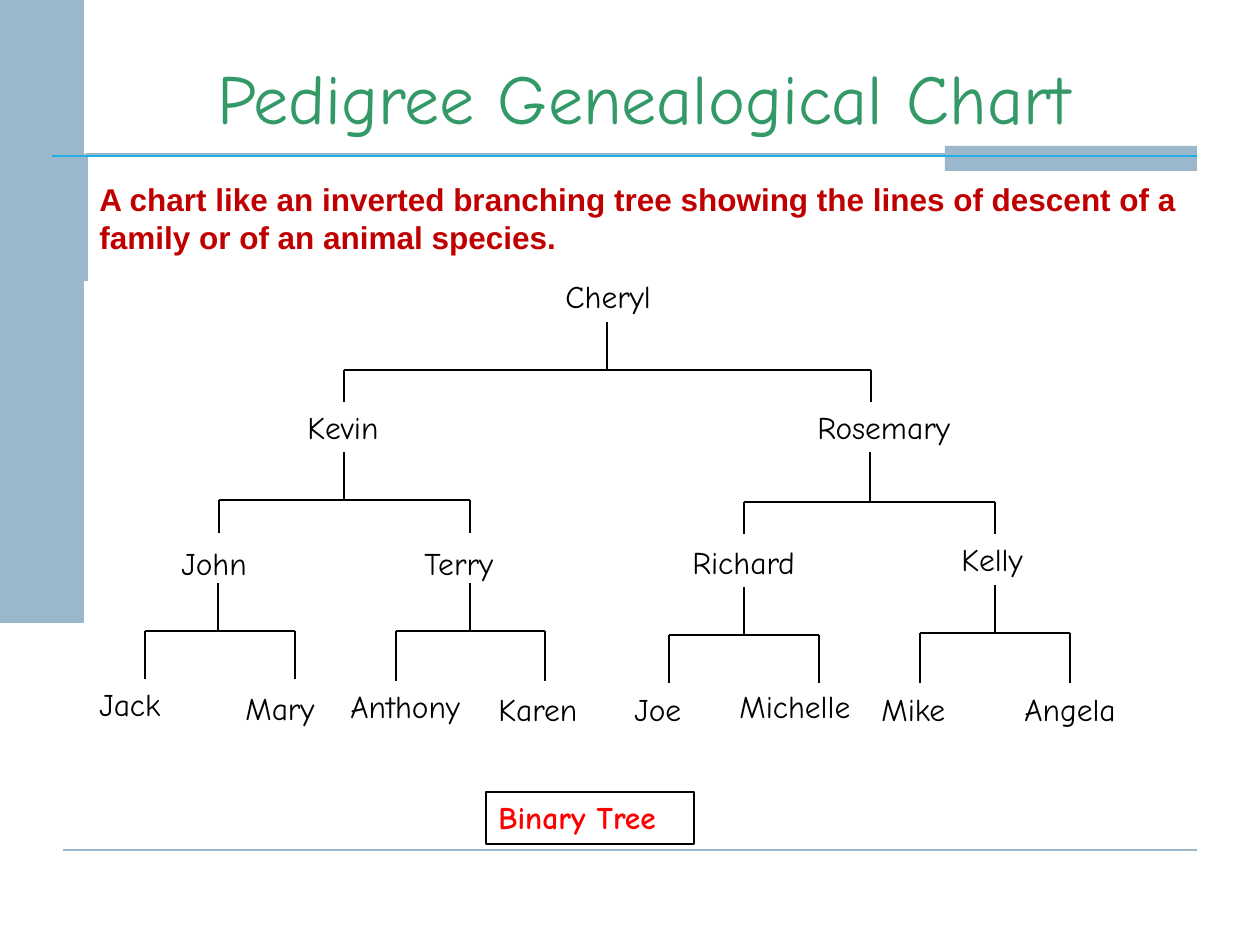
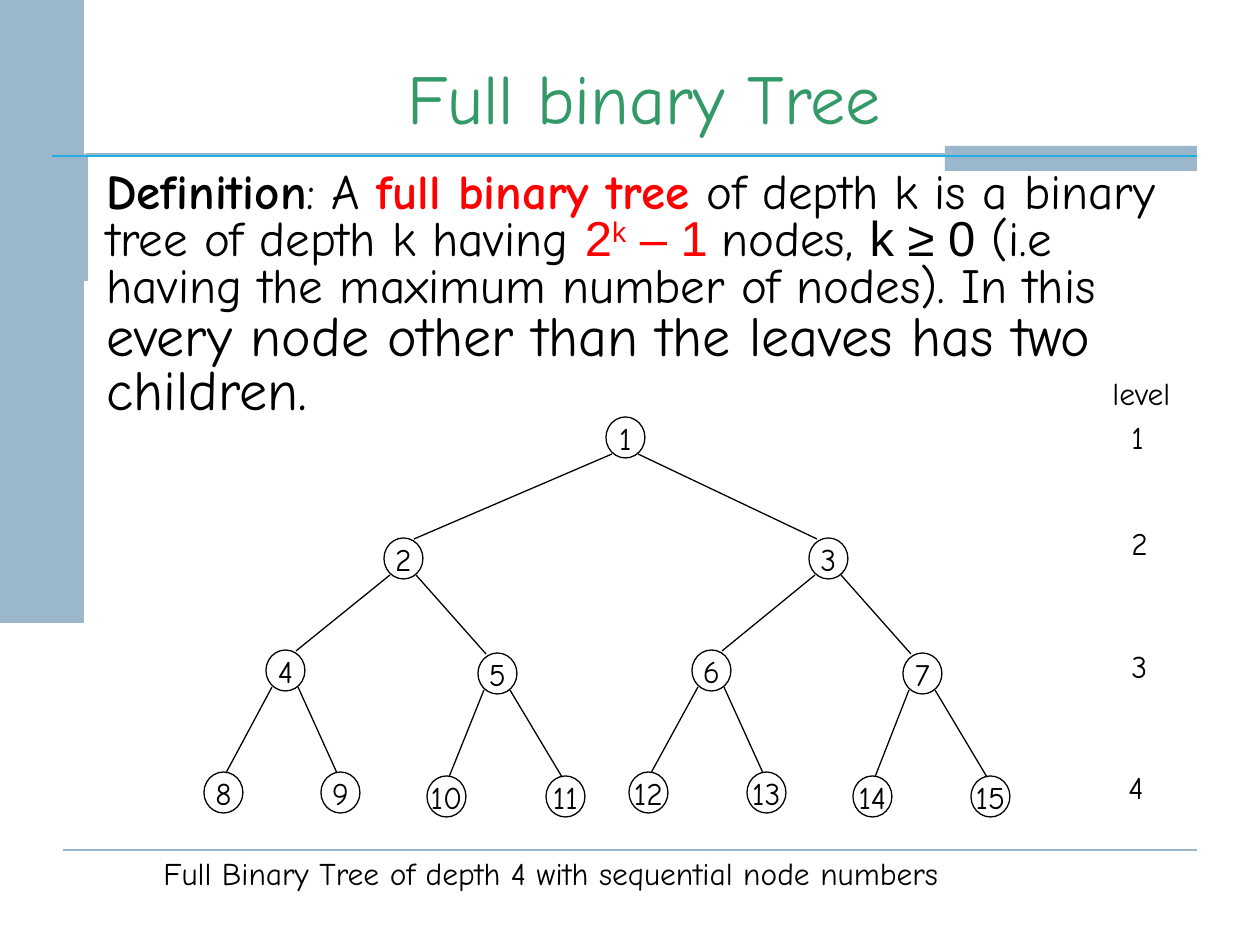
from typing import NamedTuple

from lxml.etree import SubElement
from pptx import Presentation
from pptx.dml.color import RGBColor
from pptx.enum.shapes import MSO_CONNECTOR, MSO_SHAPE
from pptx.enum.text import MSO_ANCHOR, MSO_AUTO_SIZE, PP_ALIGN
from pptx.oxml.ns import qn
from pptx.util import Emu, Pt

SCALE = 914400 / 126
COLORS = {
    "band": "9AB7CC",
    "rule": "20AEE0",
    "title": "339966",
    "text": "000000",
    "mark": "FF0000",
    "lead": "C00000",
}
HAND, SANS = "Comic Neue", "Arial"


class Label(NamedTuple):
    text: str
    left: int
    top: int
    width: int
    height: int = 50
    color: str = "text"
    face: str = HAND
    bold: bool = False


class Fork(NamedTuple):
    stem: int
    top: int
    bar: int
    left: int
    right: int
    foot: int


class Node(NamedTuple):
    left: int
    top: int


class Part(NamedTuple):
    text: str
    color: str = "text"
    face: str = HAND
    bold: bool = False
    size: int = 28
    lift: int = 0


PEOPLE = [
    Label("Cheryl", 553, 271, 126),
    Label("Kevin", 295, 402, 144),
    Label("Rosemary", 805, 402, 174),
    Label("John", 169, 538, 126),
    Label("Terry", 412, 538, 116),
    Label("Richard", 680, 537, 163),
    Label("Kelly", 949, 534, 121),
    Label("Jack", 87, 679, 116),
    Label("Mary", 233, 683, 116),
    Label("Anthony", 338, 681, 149),
    Label("Karen", 486, 684, 147),
    Label("Joe", 622, 684, 116),
    Label("Michelle", 727, 681, 183),
    Label("Mike", 869, 684, 116),
    Label("Angela", 1012, 684, 144),
]
FORKS = [
    Fork(607, 322, 370, 344, 871, 402),
    Fork(344, 452, 500, 219, 470, 533),
    Fork(870, 452, 502, 744, 995, 534),
    Fork(218, 583, 631, 145, 295, 679),
    Fork(470, 583, 631, 396, 545, 681),
    Fork(744, 587, 635, 669, 819, 683),
    Fork(995, 585, 633, 920, 1070, 683),
]
NODES = [
    Node(606, 417),
    Node(384, 538), Node(809, 538),
    Node(266, 650), Node(478, 653), Node(692, 650), Node(903, 653),
    Node(204, 772), Node(321, 772), Node(427, 776), Node(546, 776),
    Node(629, 772), Node(747, 772), Node(853, 776), Node(971, 776),
]
NODE_W, NODE_H = 39, 41
LEVELS = [
    Label("level", 1100, 368, 96),
    Label("1", 1119, 412, 55),
    Label("2", 1119, 518, 55),
    Label("3", 1119, 641, 55),
    Label("4", 1116, 762, 55),
]
PARTS = [
    Part("Definition", bold=True),
    Part(": A "),
    Part("full binary tree ", "mark", bold=True),
    Part("of depth k is a binary tree of depth k having "),
    Part("2", "mark", SANS),
    Part("k", "mark", SANS, lift=30000),
    Part(" – 1 ", "mark", SANS),
    Part("nodes, "),
    Part("k ≥ 0", face=SANS),
    Part(" (i.e having the maximum number of nodes). In this "),
    Part("every node other than the leaves has two children.", size=32),
]


def px(size: float) -> Emu:
    return Emu(round(size * SCALE))


def tint(name: str) -> RGBColor:
    return RGBColor.from_string(COLORS[name])


def set_font(font, size: int, color: str, face: str = HAND, bold: bool = False) -> None:
    font.size, font.name, font.bold = Pt(size), face, bold
    font.color.rgb = tint(color)


def set_line(line, color: str, width: float) -> None:
    line.color.rgb = tint(color)
    line.width = Pt(width)


def add_line(slide, x1: int, y1: int, x2: int, y2: int,
             color: str = "text", width: float = 0.75) -> None:
    link = slide.shapes.add_connector(
        MSO_CONNECTOR.STRAIGHT, px(x1), px(y1), px(x2), px(y2))
    set_line(link.line, color, width)
    SubElement(link._element.spPr, qn("a:effectLst"))


def add_band(slide, left: int, top: int, width: int, height: int) -> None:
    band = slide.shapes.add_shape(
        MSO_SHAPE.RECTANGLE, px(left), px(top), px(width), px(height))
    band.shadow.inherit = False
    band.fill.solid()
    band.fill.fore_color.rgb = tint("band")
    band.line.fill.background()


def add_box(slide, left: int, top: int, width: int, height: int):
    box = slide.shapes.add_textbox(px(left), px(top), px(width), px(height))
    box.text_frame.word_wrap = True
    return box


def add_label(slide, label: Label):
    box = add_box(slide, label.left, label.top, label.width, label.height)
    par = box.text_frame.paragraphs[0]
    par.text = label.text
    set_font(par.font, 18, label.color, label.face, label.bold)
    return box


def add_fork(slide, fork: Fork) -> None:
    add_line(slide, fork.stem, fork.top, fork.stem, fork.bar)
    add_line(slide, fork.left, fork.bar, fork.right, fork.bar)
    for side in (fork.left, fork.right):
        add_line(slide, side, fork.bar, side, fork.foot)


def add_node(slide, num: int, node: Node) -> None:
    disc = slide.shapes.add_shape(
        MSO_SHAPE.OVAL, px(node.left), px(node.top), px(NODE_W), px(NODE_H))
    disc.shadow.inherit = False
    disc.fill.background()
    set_line(disc.line, "text", 0.75)
    frame = disc.text_frame
    frame.word_wrap = False
    frame.vertical_anchor = MSO_ANCHOR.MIDDLE
    par = frame.paragraphs[0]
    par.text = str(num)
    par.alignment = PP_ALIGN.CENTER
    set_font(par.font, 18, "text")


def add_edge(slide, num: int) -> None:
    """Join a node to its parent, whose number is half of its own."""
    top, low = NODES[num // 2 - 1], NODES[num - 1]
    side = 1 if num % 2 else -1
    inset = 11 if num < 8 else 3
    mid_x, mid_y = NODE_W // 2, NODE_H // 2
    add_line(slide, top.left + mid_x + side * 13, top.top + mid_y + 17,
             low.left + mid_x - side * inset, low.top + mid_y - 19)


def add_page(deck, title: str):
    slide = deck.slides.add_slide(deck.slide_layouts[5])
    # Frame lines and bands
    path = slide.shapes.build_freeform(86, 281, scale=SCALE)
    path.add_line_segments([(86, 155), (1178, 155)], close=False)
    frame = path.convert_to_shape()
    frame.shadow.inherit = False
    frame.fill.background()
    set_line(frame.line, "band", 2)
    add_line(slide, 63, 850, 1197, 850, "band", 1.5)
    add_band(slide, 0, 0, 84, 623)
    add_band(slide, 945, 146, 252, 25)
    add_line(slide, 52, 156, 1197, 156, "rule", 1.5)
    # Title
    head = slide.shapes.title
    head.left, head.top, head.width, head.height = map(px, (94, 48, 1100, 97))
    text = head.text_frame
    text.text = title
    text.word_wrap = True
    text.auto_size = MSO_AUTO_SIZE.NONE
    text.vertical_anchor = MSO_ANCHOR.BOTTOM
    par = text.paragraphs[0]
    par.alignment = PP_ALIGN.CENTER
    set_font(par.font, 40, "title")
    return slide


def add_chart_page(deck) -> None:
    slide = add_page(deck, "Pedigree Genealogical Chart")
    for fork in FORKS:
        add_fork(slide, fork)
    for name in PEOPLE:
        add_label(slide, name)
    # Framed caption and lead text
    box = add_label(slide, Label("Binary Tree", 486, 792, 208, 52, "mark", bold=True))
    set_line(box.line, "text", 0.75)
    add_label(slide, Label(
        "A chart like an inverted branching tree showing the lines of descent "
        "of a family or of an animal species.",
        87, 174, 1126, 89, "lead", SANS, True))


def add_tree_page(deck) -> None:
    slide = add_page(deck, "Full binary Tree")
    # Definition
    box = add_box(slide, 94, 166, 1110, 180)
    par = box.text_frame.paragraphs[0]
    par.line_spacing = 0.8
    for part in PARTS:
        run = par.add_run()
        run.text = part.text
        set_font(run.font, part.size, part.color, part.face, part.bold)
        if part.lift:
            run._r.get_or_add_rPr().set("baseline", str(part.lift))
    # Tree
    for num, node in enumerate(NODES, 1):
        add_node(slide, num, node)
        if num > 1:
            add_edge(slide, num)
    # Levels and caption
    for level in LEVELS:
        add_label(slide, level)
    add_label(slide, Label(
        "Full Binary Tree of depth 4 with sequential node numbers", 151, 848, 979))


def main() -> None:
    deck = Presentation()
    deck.slide_width, deck.slide_height = px(1260), px(945)
    add_chart_page(deck)
    add_tree_page(deck)
    deck.save("out.pptx")


if __name__ == "__main__":
    main()
